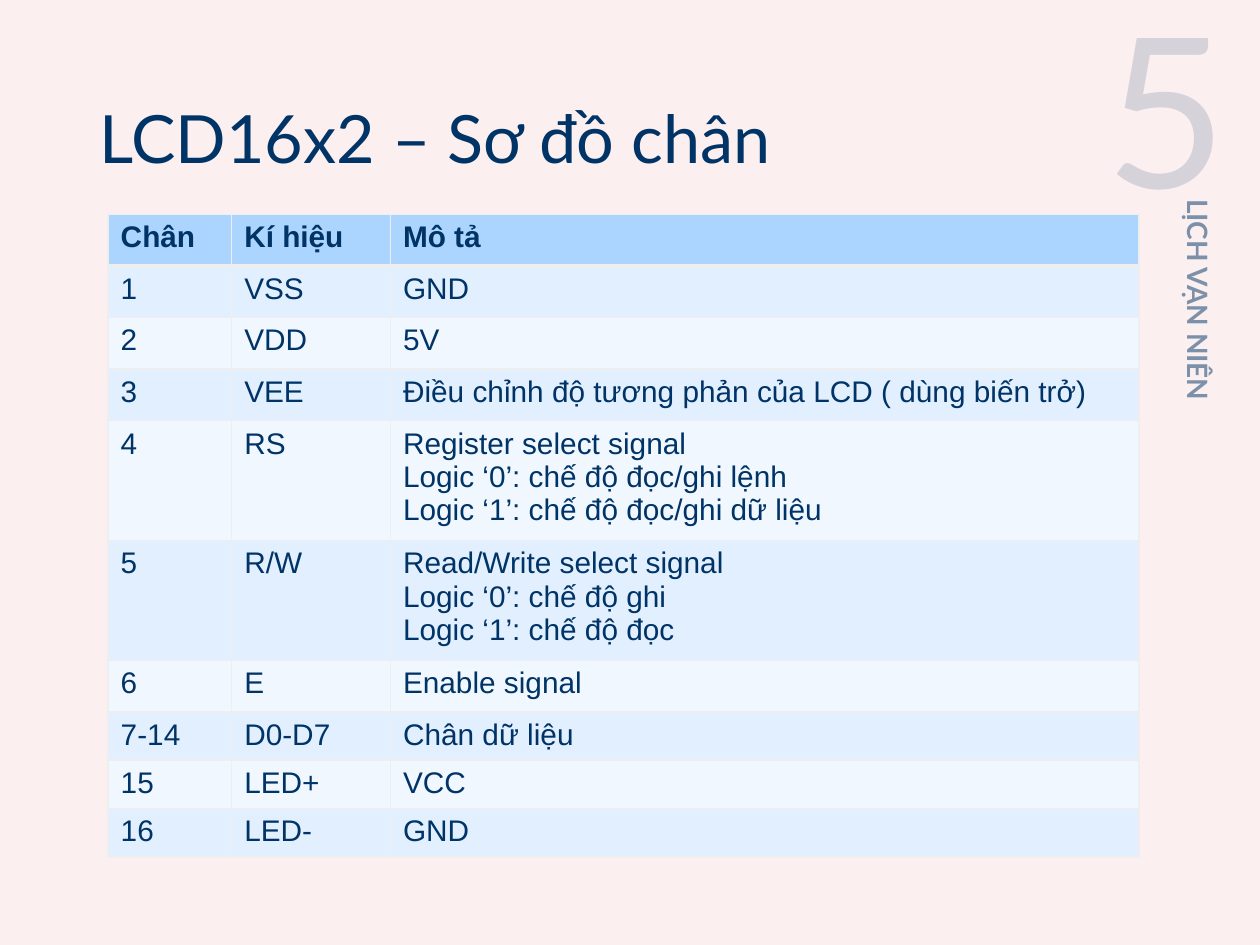
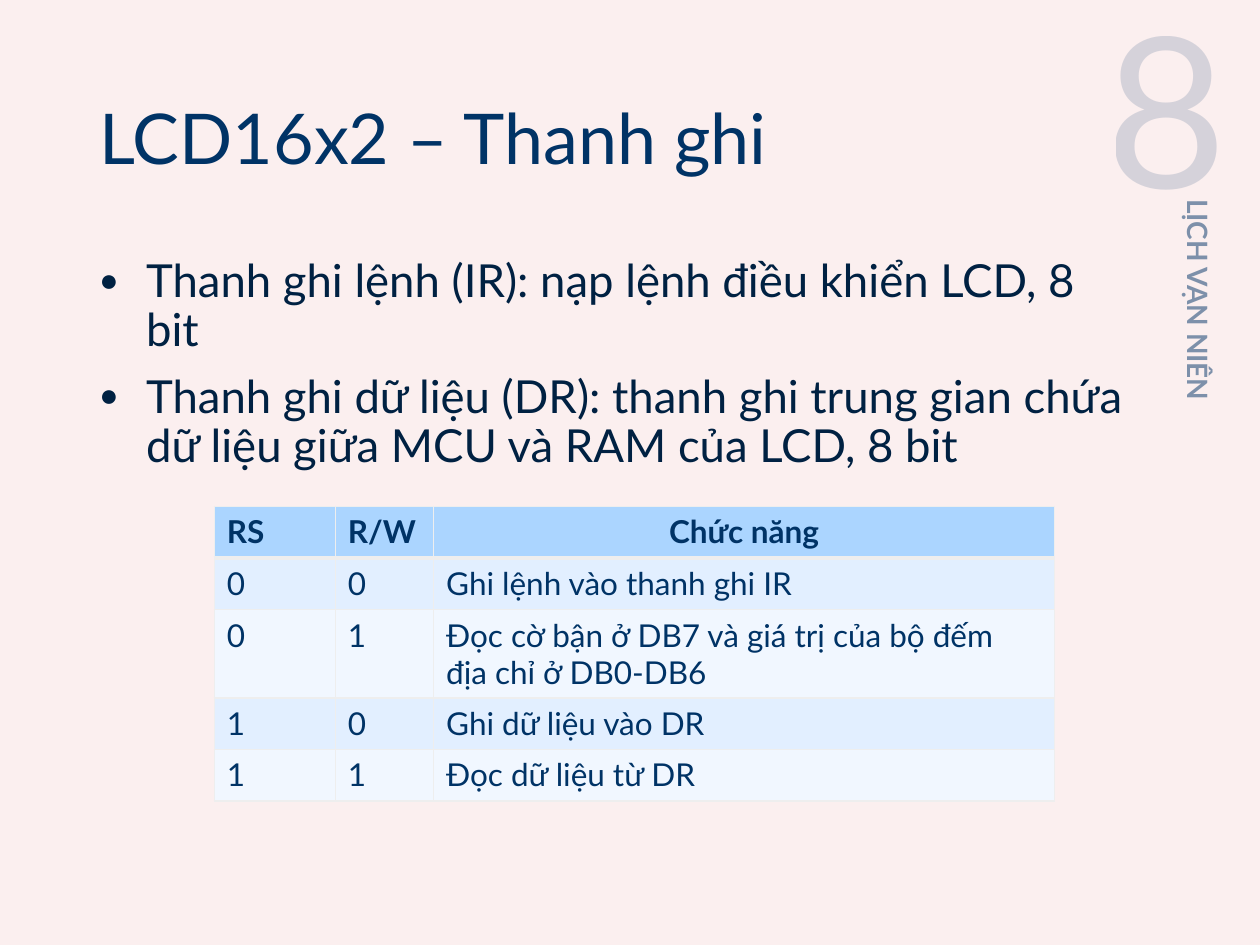
"""Build two slides on the LCD16x2: its pin table and its registers."""
from lxml import etree
from pptx import Presentation
from pptx.dml.color import RGBColor
from pptx.enum.text import MSO_ANCHOR, MSO_AUTO_SIZE, PP_ALIGN
from pptx.oxml.ns import qn
from pptx.util import Cm, Pt

LEFT, MID, RIGHT = PP_ALIGN.LEFT, PP_ALIGN.CENTER, PP_ALIGN.RIGHT
TOP, CENTRE = MSO_ANCHOR.TOP, MSO_ANCHOR.MIDDLE
FIXED = MSO_AUTO_SIZE.NONE
INK = {"page": "FBEFEF", "navy": "003366", "dark": "002142", "head": "ABD5FF",
       "odd": "E2EFFF", "even": "F1F7FF", "rule": "EEEEEE"}


def write(frame, text, size=18, font="Lato", ink="navy", bold=False, align=LEFT,
          anchor=TOP, alpha=None, line=None, before=None, bullet=None):
    frame.word_wrap = True
    frame.vertical_anchor = anchor
    frame.text = text
    for para in frame.paragraphs:
        para.alignment = align
        if line:
            para.line_spacing = line
        if before:
            para.space_before = Pt(before)
        if bullet:
            props = para._p.get_or_add_pPr()
            props.set("marL", str(Cm(0.94)))
            props.set("indent", str(-Cm(0.94)))
            etree.SubElement(props, qn("a:buSzPct"), val="70000")
            etree.SubElement(props, qn("a:buFont"), typeface="Arial")
            etree.SubElement(props, qn("a:buChar"), char=bullet)
        for run in para.runs:
            run.font.size, run.font.name, run.font.bold = Pt(size), font, bold
            run.font.color.rgb = RGBColor.from_string(INK[ink])
            if alpha:
                tint = next(run._r.iter(qn("a:srgbClr")))
                etree.SubElement(tint, qn("a:alpha"), val=str(alpha * 1000))


def edge(cell, side, width):
    props = cell._tc.get_or_add_tcPr()
    rule = etree.SubElement(props, qn(f"a:ln{side}"), w=str(Pt(width)))
    fill = etree.SubElement(rule, qn("a:solidFill"))
    etree.SubElement(fill, qn("a:srgbClr"), val=INK["rule"])


PINS = [
    ("Chân", "Kí hiệu", "Mô tả"),
    ("1", "VSS", "GND"),
    ("2", "VDD", "5V"),
    ("3", "VEE", "Điều chỉnh độ tương phản của LCD ( dùng biến trở)"),
    ("4", "RS", "Register select signal\nLogic ‘0’: chế độ đọc/ghi lệnh\n"
                "Logic ‘1’: chế độ đọc/ghi dữ liệu"),
    ("5", "R/W", "Read/Write select signal\nLogic ‘0’: chế độ ghi\n"
                 "Logic ‘1’: chế độ đọc"),
    ("6", "E", "Enable signal"),
    ("7-14", "D0-D7", "Chân dữ liệu"),
    ("15", "LED+", "VCC"),
    ("16", "LED-", "GND"),
]
MODES = [
    ("RS", "R/W", "Chức năng"),
    ("0", "0", "Ghi lệnh vào thanh ghi IR"),
    ("0", "1", "Đọc cờ bận ở DB7 và giá trị của bộ đếm địa chỉ ở DB0-DB6"),
    ("1", "0", "Ghi dữ liệu vào DR"),
    ("1", "1", "Đọc dữ liệu từ DR"),
]
LIST = ("Thanh ghi lệnh (IR): nạp lệnh điều khiển LCD, 8 bit\n"
        "Thanh ghi dữ liệu (DR): thanh ghi trung gian chứa dữ liệu giữa MCU và RAM "
        "của LCD, 8 bit")
PAGES = [
    {"no": "5", "title": "LCD16x2 – Sơ đồ chân", "size": 38, "list": None,
     "rows": PINS, "left": 2.18, "top": 4.32, "cols": (2.49, 3.2, 15.09),
     "highs": [1.04] * 7 + [0.51] * 3, "text": 17, "font": "Arial", "last": LEFT},
    {"no": "8", "title": "LCD16x2 – Thanh ghi", "size": 40, "list": LIST,
     "rows": MODES, "left": 4.32, "top": 10.21, "cols": (2.44, 1.98, 12.52),
     "highs": [1.04] * 5, "text": 18, "font": "Lato", "last": MID},
]

deck = Presentation()
deck.slide_width, deck.slide_height = Cm(25.4), Cm(19.05)
back = deck.slide_master.background.fill
back.solid()
back.fore_color.rgb = RGBColor.from_string(INK["page"])

for page in PAGES:
    slide = deck.slides.add_slide(deck.slide_layouts[1 if page["list"] else 5])
    title = slide.shapes.title
    title.left, title.top, title.width, title.height = Cm(1.75), Cm(1.02), Cm(21.2), Cm(3.68)
    title.text_frame.auto_size = FIXED
    write(title.text_frame, page["title"], size=page["size"], anchor=CENTRE, line=0.9)

    if page["list"]:
        body = slide.placeholders[1]
        body.left, body.top, body.width, body.height = Cm(1.75), Cm(5.08), Cm(21.2), Cm(11.56)
        body.text_frame.auto_size = FIXED
        write(body.text_frame, page["list"], size=26, ink="dark", line=0.9, before=10,
              bullet="●")

    side = slide.shapes.add_textbox(Cm(16.74), Cm(10.67), Cm(14.83), Cm(1.02))
    side.rotation = 90
    write(side.text_frame, "LỊCH VẠN NIÊN", size=16, bold=True, anchor=CENTRE, alpha=50)
    mark = slide.shapes.add_textbox(Cm(19.28), Cm(0.46), Cm(5.72), Cm(3.3))
    write(mark.text_frame, page["no"], size=120, align=RIGHT, anchor=CENTRE, alpha=14)

    rows, cols, highs = page["rows"], page["cols"], page["highs"]
    grid = slide.shapes.add_table(len(rows), len(cols), Cm(page["left"]), Cm(page["top"]),
                                  Cm(sum(cols)), Cm(sum(highs))).table
    for col, width in zip(grid.columns, cols):
        col.width = Cm(width)
    for r, (row, high) in enumerate(zip(rows, highs)):
        grid.rows[r].height = Cm(high)
        shade = "head" if r == 0 else "odd" if r % 2 else "even"
        for c, text in enumerate(row):
            cell = grid.cell(r, c)
            for name, width in zip("LRTB", (1, 1, 3 if r == 1 else 1, 3 if r == 0 else 1)):
                edge(cell, name, width)
            cell.fill.solid()
            cell.fill.fore_color.rgb = RGBColor.from_string(INK[shade])
            last = r == 0 and c == len(cols) - 1
            write(cell.text_frame, text, size=page["text"], font=page["font"],
                  bold=r == 0, align=page["last"] if last else LEFT)

deck.save("out.pptx")
